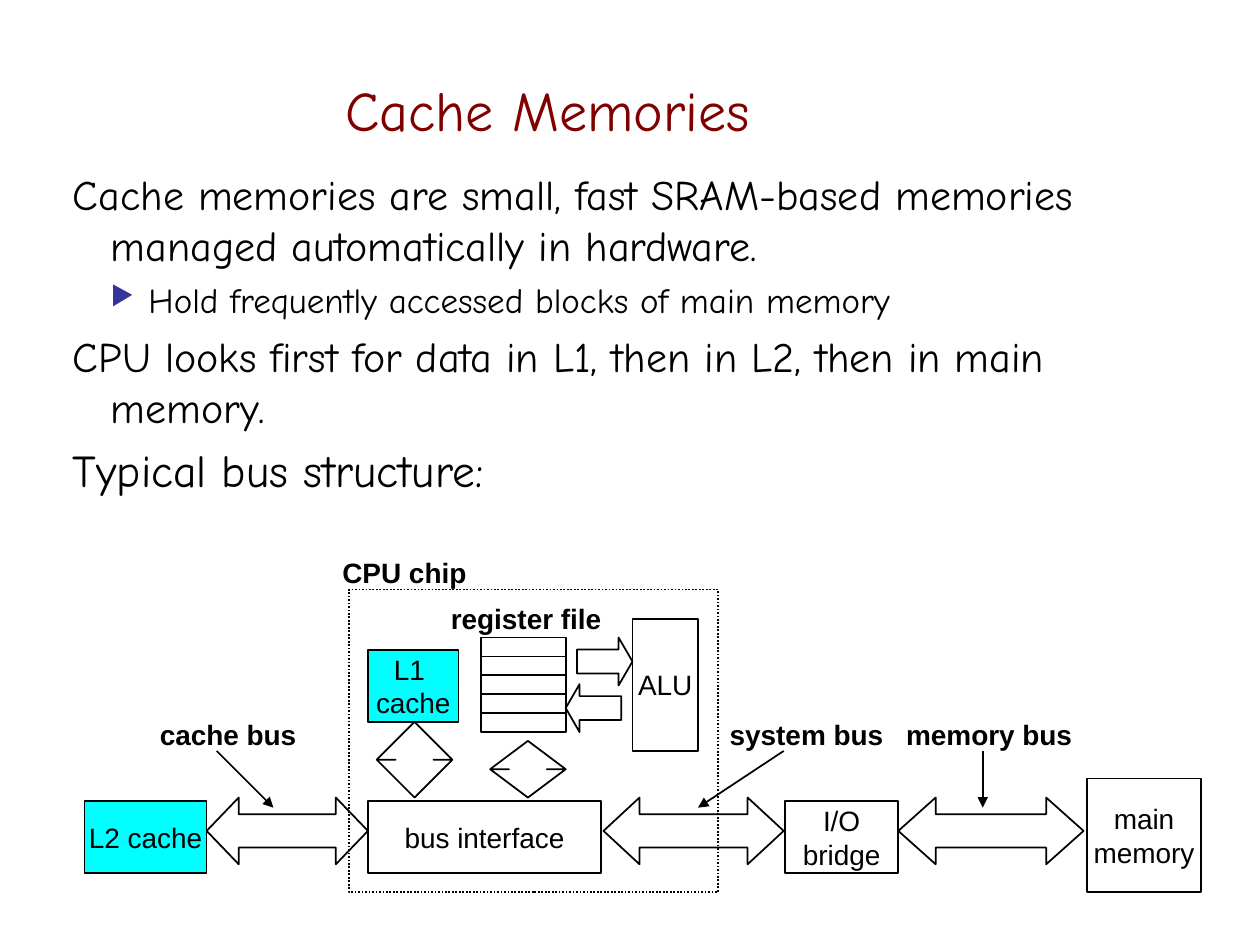
from lxml import etree
from pptx import Presentation
from pptx import util as u
from pptx.dml.color import RGBColor
from pptx.enum import dml, shapes, text
from pptx.oxml import ns

COLORS = {"title": "800000", "ink": "000000", "cache": "00FFFF", "bullet": "333399"}
BODY_FONT = "Comic Neue"
LABEL_FONT = "Arial"
KIND = shapes.MSO_SHAPE


def color(name):
    """Return the named colour."""
    return RGBColor.from_string(COLORS[name])


def add_xml(parent, tag, **attributes):
    """Append a DrawingML element."""
    return etree.SubElement(parent, ns.qn(tag), attributes)


def write(paragraph, content, size=16, font=LABEL_FONT, ink="ink", bold=False,
          align=text.PP_ALIGN.CENTER):
    """Fill a paragraph with one formatted run."""
    paragraph.alignment = align
    run = paragraph.add_run()
    run.text = content
    run.font.size = u.Pt(size)
    run.font.name = font
    run.font.bold = bold
    run.font.color.rgb = color(ink)


def write_lines(frame, lines, **style):
    """Write centred, unwrapped lines into a text frame."""
    frame.word_wrap = False
    frame.vertical_anchor = text.MSO_ANCHOR.MIDDLE
    for index, line in enumerate(lines):
        paragraph = frame.add_paragraph() if index else frame.paragraphs[0]
        write(paragraph, line, **style)


def add_part(slide, kind, box, lines=(), fill=None, adjustments=(), dotted=False):
    """Add an outlined shape, with text if given."""
    shape = slide.shapes.add_shape(kind, *map(u.Inches, box))
    shape.shadow.inherit = False
    if fill:
        shape.fill.solid()
        shape.fill.fore_color.rgb = color(fill)
    else:
        shape.fill.background()
    shape.line.color.rgb = color("ink")
    shape.line.width = u.Pt(1)
    if dotted:
        shape.line.dash_style = dml.MSO_LINE.ROUND_DOT
    for index, value in enumerate(adjustments):
        shape.adjustments[index] = value
    write_lines(shape.text_frame, lines)
    return shape


def add_label(slide, content, box):
    """Add a bold label on one line."""
    frame = slide.shapes.add_textbox(*map(u.Inches, box)).text_frame
    frame.margin_left = frame.margin_right = 0
    frame.auto_size = text.MSO_AUTO_SIZE.SHAPE_TO_FIT_TEXT
    write_lines(frame, [content], bold=True)


def add_pointer(slide, start, end):
    """Add a line with an arrowhead at its end."""
    line = slide.shapes.add_connector(
        shapes.MSO_CONNECTOR.STRAIGHT, *map(u.Inches, (*start, *end)))
    line.line.color.rgb = color("ink")
    line.line.width = u.Pt(1)
    add_xml(line.line._get_or_add_ln(), "a:tailEnd", type="triangle")
    add_xml(line._element.spPr, "a:effectLst")


def add_title(slide, box):
    """Place and format the title."""
    title = slide.shapes.title
    title.left, title.top, title.width, title.height = map(u.Inches, box)
    title.text_frame.vertical_anchor = text.MSO_ANCHOR.MIDDLE
    write(title.text_frame.paragraphs[0], "Cache Memories", size=32,
          font=BODY_FONT, ink="title")


def add_body(slide, box):
    """Write the points about cache memories."""
    points = [
        (0, 24, "Cache memories are small, fast SRAM-based memories "
                "managed automatically in hardware."),
        (1, 20, "Hold frequently accessed blocks of main memory"),
        (0, 24, "CPU looks first for data in L1, then in L2, then in main memory."),
        (0, 26, "Typical bus structure:"),
    ]
    frame = slide.shapes.add_textbox(*map(u.Inches, box)).text_frame
    frame.word_wrap = True
    for index, (level, size, content) in enumerate(points):
        paragraph = frame.add_paragraph() if index else frame.paragraphs[0]
        paragraph.level = level
        paragraph.space_before = u.Pt(6 - level)
        write(paragraph, content, size=size, font=BODY_FONT, align=text.PP_ALIGN.LEFT)
        properties = paragraph._p.get_or_add_pPr()
        properties.set("marL", str(u.Inches(0.3 * (level + 1))))
        properties.set("indent", str(u.Inches(-0.3)))
        if level:
            add_xml(add_xml(properties, "a:buClr"), "a:srgbClr", val=COLORS["bullet"])
            add_xml(properties, "a:buSzPct", val="76000")
            add_xml(properties, "a:buChar", char="▶")
        else:
            add_xml(properties, "a:buNone")


def add_buses(slide, left, top):
    """Draw the horizontal buses with their labels and pointers."""
    buses = [
        ("cache bus", 0.97, 1.28, 0.48, (0.5, 1.28), 1.05, 1.5),
        ("system bus", 4.12, 1.43, 0.54, (5.02, 1.42), 5.55, 4.87),
        ("memory bus", 6.46, 1.47, 0.56, (6.42, 1.52), 7.13, 7.13),
    ]
    for name, x, width, head, (label_x, label_width), start, end in buses:
        add_part(slide, KIND.LEFT_RIGHT_ARROW, (left + x, top + 1.97, width, 0.53),
                 adjustments=(0.5, head))
        add_label(slide, name, (left + label_x, top + 1.28, label_width, 0.37))
        add_pointer(slide, (left + start, top + 1.6), (left + end, top + 2.05))


def add_chip(slide, box):
    """Draw the CPU chip with its caches, registers and ALU."""
    left, top, width, height = box
    add_part(slide, KIND.RECTANGLE, box, dotted=True)
    add_label(slide, "CPU chip", (left - 0.15, top - 0.32, 1.18, 0.37))
    add_label(slide, "register file", (left + 0.71, top + 0.04, 1.39, 0.37))
    for row in range(5):
        add_part(slide, KIND.RECTANGLE,
                 (left + 1.05, top + 0.38 + 0.15 * row, 0.67, 0.15))
    parts = [
        ((0.15, 0.48, 0.72, 0.57), ["L1 ", "cache"], "cache"),
        ((0.15, 1.68, 1.85, 0.57), ["bus interface"], None),
        ((2.25, 0.23, 0.52, 1.05), ["ALU"], None),
    ]
    for (x, y, w, h), lines, fill in parts:
        add_part(slide, KIND.RECTANGLE, (left + x, top + y, w, h), lines, fill)
    arrows = [
        (KIND.RIGHT_ARROW, (1.81, 0.38, 0.44, 0.38), (0.5, 0.29)),
        (KIND.LEFT_ARROW, (1.72, 0.75, 0.44, 0.38), (0.5, 0.29)),
        (KIND.UP_DOWN_ARROW, (0.22, 1.05, 0.6, 0.6), (0.2, 0.5)),
        (KIND.UP_DOWN_ARROW, (1.12, 1.2, 0.6, 0.45), (0.2, 0.5)),
    ]
    for kind, (x, y, w, h), adjustments in arrows:
        add_part(slide, kind, (left + x, top + y, w, h), adjustments=adjustments)


def add_diagram(slide, left, top):
    """Draw the bus structure from its top left corner."""
    add_buses(slide, left, top)
    add_chip(slide, (left + 2.1, top + 0.32, 2.93, 2.4))
    parts = [
        ((0, 2, 0.97, 0.57), ["L2 cache"], "cache"),
        ((5.56, 2, 0.9, 0.57), ["I/O", "bridge"], None),
        ((7.96, 1.82, 0.9, 0.9), ["main", "memory"], None),
    ]
    for (x, y, w, h), lines, fill in parts:
        add_part(slide, KIND.RECTANGLE, (left + x, top + y, w, h), lines, fill)


def main():
    """Build and save the slide."""
    presentation = Presentation()
    presentation.slide_width = u.Inches(10)
    presentation.slide_height = u.Inches(7.5)
    slide = presentation.slides.add_slide(presentation.slide_layouts[5])
    add_title(slide, (0.44, 0.44, 7.81, 0.85))
    add_body(slide, (0.48, 1.29, 9.09, 5.71))
    add_diagram(slide, 0.67, 4.36)
    presentation.save("out.pptx")


if __name__ == "__main__":
    main()
